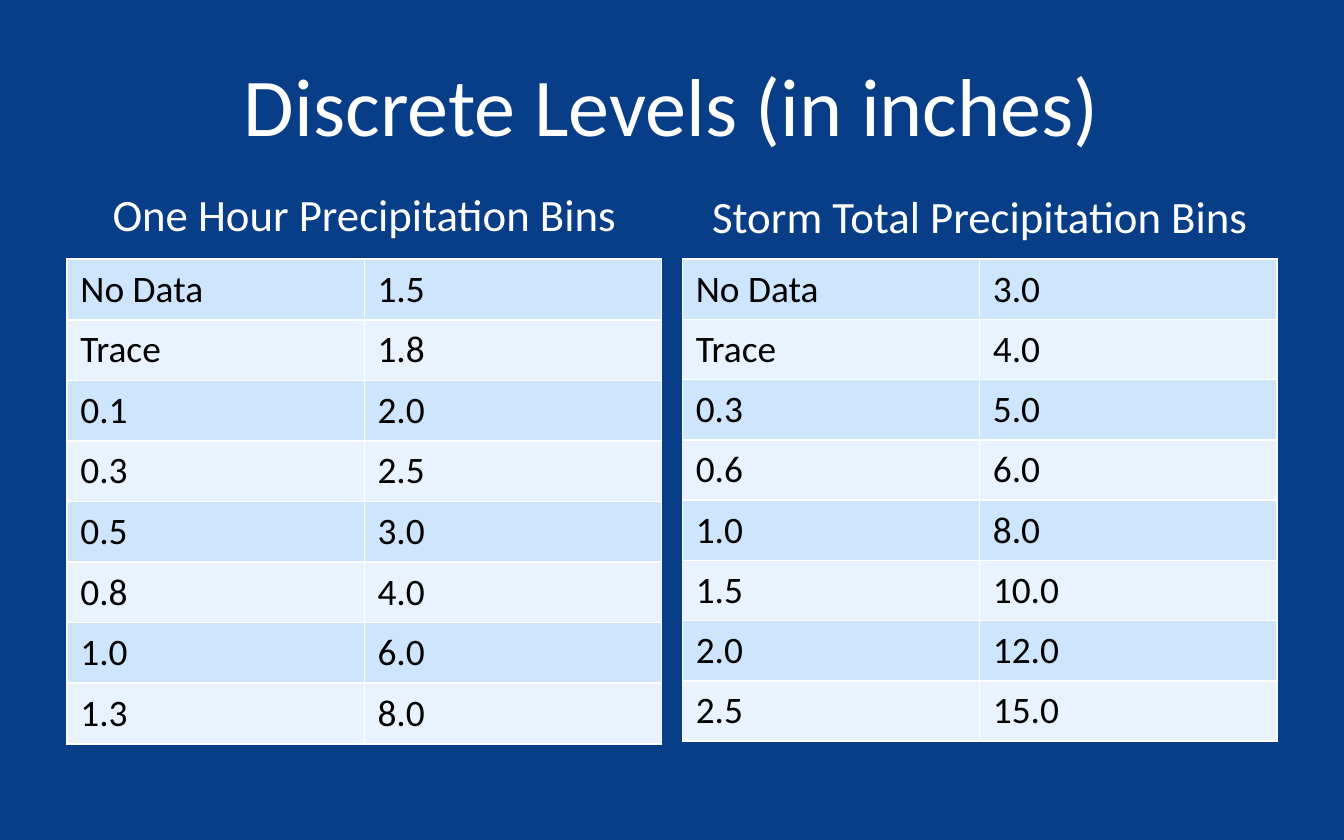
from dataclasses import dataclass

from lxml import etree
from pptx import Presentation
from pptx.dml.color import RGBColor
from pptx.enum import text
from pptx.oxml import ns
from pptx.util import Cm, Pt


@dataclass(frozen=True)
class Theme:
    font: str = "Calibri"
    background: str = "073E87"
    light: str = "FFFFFF"
    dark: str = "000000"
    bands: tuple = ("CEE5FE", "E8F3FF")
    title_size: int = 44
    heading_size: int = 24
    cell_size: int = 20


theme = Theme()


def add_run(p, words, size, color):
    r = p.add_run()
    r.text = words
    r.font.name = theme.font
    r.font.size = Pt(size)
    r.font.color.rgb = RGBColor.from_string(color)


def add_borders(cell):
    tc_pr = cell._tc.get_or_add_tcPr()
    for side in ("a:lnL", "a:lnR", "a:lnT", "a:lnB"):
        ln = etree.SubElement(tc_pr, ns.qn(side), w=str(Pt(1)))
        fill = etree.SubElement(ln, ns.qn("a:solidFill"))
        etree.SubElement(fill, ns.qn("a:srgbClr"), val=theme.light)


prs = Presentation()
prs.slide_width, prs.slide_height = Cm(25.4), Cm(15.88)
s = prs.slides.add_slide(prs.slide_layouts[5])
s.background.fill.solid()
s.background.fill.fore_color.rgb = RGBColor.from_string(theme.background)

title = s.shapes.title
title.left, title.top, title.width, title.height = Cm(1.27), Cm(0.64), Cm(22.86), Cm(2.64)
tf = title.text_frame
tf.vertical_anchor = text.MSO_ANCHOR.MIDDLE
p = tf.paragraphs[0]
p.alignment = text.PP_ALIGN.CENTER
add_run(p, "Discrete Levels (in inches)", theme.title_size, theme.light)

table_width, row_height = Cm(11.23), Cm(1.14)
bins = [
    ("One Hour Precipitation Bins", Cm(1.27), Cm(3.4),
     ["No Data", "Trace", "0.1", "0.3", "0.5", "0.8", "1.0", "1.3"],
     ["1.5", "1.8", "2.0", "2.5", "3.0", "4.0", "6.0", "8.0"]),
    ("Storm Total Precipitation Bins", Cm(12.9), Cm(3.45),
     ["No Data", "Trace", "0.3", "0.6", "1.0", "1.5", "2.0", "2.5"],
     ["3.0", "4.0", "5.0", "6.0", "8.0", "10.0", "12.0", "15.0"]),
]

for heading, left, heading_top, low, high in bins:
    frame = s.shapes.add_table(len(low), 2, left, Cm(4.9), table_width, row_height * len(low))
    table = frame.table
    table.first_row = False
    table.horz_banding = False
    for row, levels in enumerate(zip(low, high)):
        table.rows[row].height = row_height
        for col, level in enumerate(levels):
            cell = table.cell(row, col)
            cell.margin_left = cell.margin_right = Cm(0.25)
            cell.margin_top = cell.margin_bottom = Cm(0.14)
            add_borders(cell)
            cell.fill.solid()
            cell.fill.fore_color.rgb = RGBColor.from_string(theme.bands[row % 2])
            add_run(cell.text_frame.paragraphs[0], level, theme.cell_size, theme.dark)

    sp = s.shapes.add_textbox(left, heading_top, table_width, Cm(1.27))
    tf = sp.text_frame
    tf.word_wrap = True
    tf.auto_size = text.MSO_AUTO_SIZE.SHAPE_TO_FIT_TEXT
    p = tf.paragraphs[0]
    p.alignment = text.PP_ALIGN.CENTER
    add_run(p, heading, theme.heading_size, theme.light)

prs.save("out.pptx")
